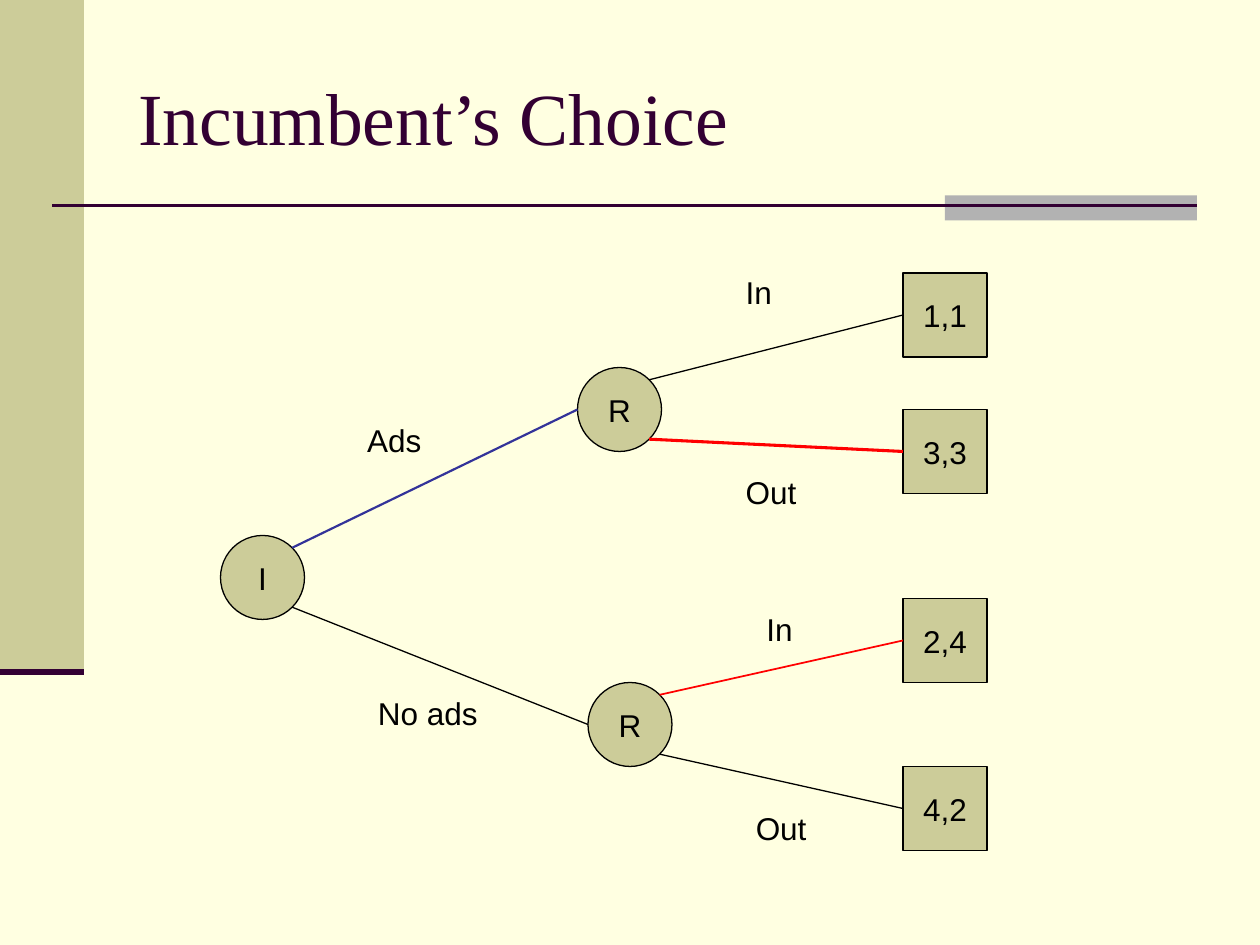
import math
from dataclasses import dataclass

import pptx
import pptx.dml.color
import pptx.enum.shapes
import pptx.enum.text
import pptx.oxml.ns
import pptx.util
from lxml import etree

Pt = pptx.util.Pt
MSO_SHAPE = pptx.enum.shapes.MSO_SHAPE
ANCHOR = pptx.enum.text.MSO_ANCHOR
ALIGN = pptx.enum.text.PP_ALIGN
AUTO_SIZE = pptx.enum.text.MSO_AUTO_SIZE

COLORS = {
    "background": "FFFFE1",
    "olive": "CCCC99",
    "grey": "B2B2B2",
    "plum": "330033",
    "black": "000000",
    "blue": "333399",
    "red": "FF0000",
}
NODE_SIZE = 48
RADIUS = NODE_SIZE / 2
DIAGONAL = RADIUS * math.sqrt(0.5)
PAYOFF_LEFT = 516
LABEL_HEIGHT = 28.8
BODY_FONT = {"name": "Arial", "size": Pt(18)}
TITLE_FONT = {"name": "Times New Roman", "size": Pt(42)}


@dataclass(frozen=True)
class Node:
    text: str
    left: float
    top: float
    shape: MSO_SHAPE = MSO_SHAPE.OVAL

    @property
    def entry(self) -> tuple[float, float]:
        return self.left, self.top + RADIUS

    def exit(self, side: int) -> tuple[float, float]:
        """Point on the circle's right diagonal: side -1 is up, 1 is down."""
        return self.left + RADIUS + DIAGONAL, self.top + RADIUS + side * DIAGONAL


@dataclass(frozen=True)
class Branch:
    start: Node
    side: int
    end: Node
    color: str = "black"
    width: float = 0.75


@dataclass(frozen=True)
class Label:
    text: str
    left: float
    top: float
    width: float


INCUMBENT = Node("I", 126, 306)
RIVAL_ADS = Node("R", 330, 210)
RIVAL_NO_ADS = Node("R", 336, 390)
PAYOFFS = [
    Node(text, PAYOFF_LEFT, top, MSO_SHAPE.RECTANGLE)
    for text, top in (("1,1", 156), ("3,3", 234), ("2,4", 342), ("4,2", 438))
]
BRANCHES = [
    Branch(INCUMBENT, -1, RIVAL_ADS, "blue", 1.25),
    Branch(INCUMBENT, 1, RIVAL_NO_ADS),
    Branch(RIVAL_ADS, -1, PAYOFFS[0]),
    Branch(RIVAL_ADS, 1, PAYOFFS[1], "red", 1.75),
    Branch(RIVAL_NO_ADS, -1, PAYOFFS[2], "red", 1),
    Branch(RIVAL_NO_ADS, 1, PAYOFFS[3]),
]
LABELS = [
    Label("Ads", 202.8, 237, 45.4),
    Label("No ads", 208.8, 393, 71.3),
    Label("In", 419, 152.6, 29.5),
    Label("Out", 419, 267, 43.2),
    Label("In", 430.8, 344.9, 29.5),
    Label("Out", 424.8, 458.6, 43.2),
]


def rgb(color: str) -> pptx.dml.color.RGBColor:
    return pptx.dml.color.RGBColor.from_string(COLORS[color])


def write(sp, text: str, font: dict, color: str = "black", **frame) -> None:
    """Put one paragraph in a shape; frame holds text frame settings."""
    tf = sp.text_frame
    for name, value in frame.items():
        setattr(tf, name, value)
    p = tf.paragraphs[0]
    r = p.add_run()
    r.text = text
    for name, value in font.items():
        setattr(r.font, name, value)
    r.font.color.rgb = rgb(color)


def add_block(s, shape: MSO_SHAPE, box: tuple, fill: str):
    sp = s.shapes.add_shape(shape, *map(Pt, box))
    sp.shadow.inherit = False
    sp.fill.solid()
    sp.fill.fore_color.rgb = rgb(fill)
    sp.line.fill.background()
    return sp


def add_line(s, start: tuple, end: tuple, color: str, width: float) -> None:
    line = s.shapes.add_connector(
        pptx.enum.shapes.MSO_CONNECTOR.STRAIGHT, *map(Pt, start + end)
    )
    line.line.color.rgb = rgb(color)
    line.line.width = Pt(width)
    sp_pr = line._element.spPr
    etree.SubElement(sp_pr, pptx.oxml.ns.qn("a:effectLst"))


def add_node(s, node: Node) -> None:
    box = (node.left, node.top, NODE_SIZE, NODE_SIZE)
    sp = add_block(s, node.shape, box, "olive")
    sp.line.color.rgb = rgb("black")
    sp.line.width = Pt(0.75)
    write(sp, node.text, BODY_FONT, word_wrap=False, vertical_anchor=ANCHOR.MIDDLE)
    sp.text_frame.paragraphs[0].alignment = ALIGN.CENTER


def add_label(s, label: Label) -> None:
    box = (label.left, label.top, label.width, LABEL_HEIGHT)
    sp = s.shapes.add_textbox(*map(Pt, box))
    write(sp, label.text, BODY_FONT, word_wrap=False,
          auto_size=AUTO_SIZE.SHAPE_TO_FIT_TEXT)


def add_frame(s) -> None:
    """Draw the background, side band, rules and title."""
    s.background.fill.solid()
    s.background.fill.fore_color.rgb = rgb("background")
    add_block(s, MSO_SHAPE.RECTANGLE, (0, 0, 48, 384), "olive")
    add_block(s, MSO_SHAPE.RECTANGLE, (540, 111.6, 144, 14.4), "grey")
    add_line(s, (30, 117.6), (684, 117.6), "plum", 1.5)
    add_line(s, (0, 384), (48, 384), "plum", 3.5)
    title = s.shapes.add_textbox(Pt(72), Pt(21.6), Pt(612), Pt(90))
    write(title, "Incumbent’s Choice", TITLE_FONT, "plum",
          word_wrap=True, vertical_anchor=ANCHOR.MIDDLE)


def main() -> None:
    prs = pptx.Presentation()
    prs.slide_width, prs.slide_height = Pt(720), Pt(540)
    s = prs.slides.add_slide(prs.slide_layouts[6])
    add_frame(s)
    for node in (INCUMBENT, RIVAL_NO_ADS, RIVAL_ADS, *PAYOFFS):
        add_node(s, node)
    for branch in BRANCHES:
        add_line(s, branch.start.exit(branch.side), branch.end.entry,
                 branch.color, branch.width)
    for label in LABELS:
        add_label(s, label)
    prs.save("out.pptx")


if __name__ == "__main__":
    main()
